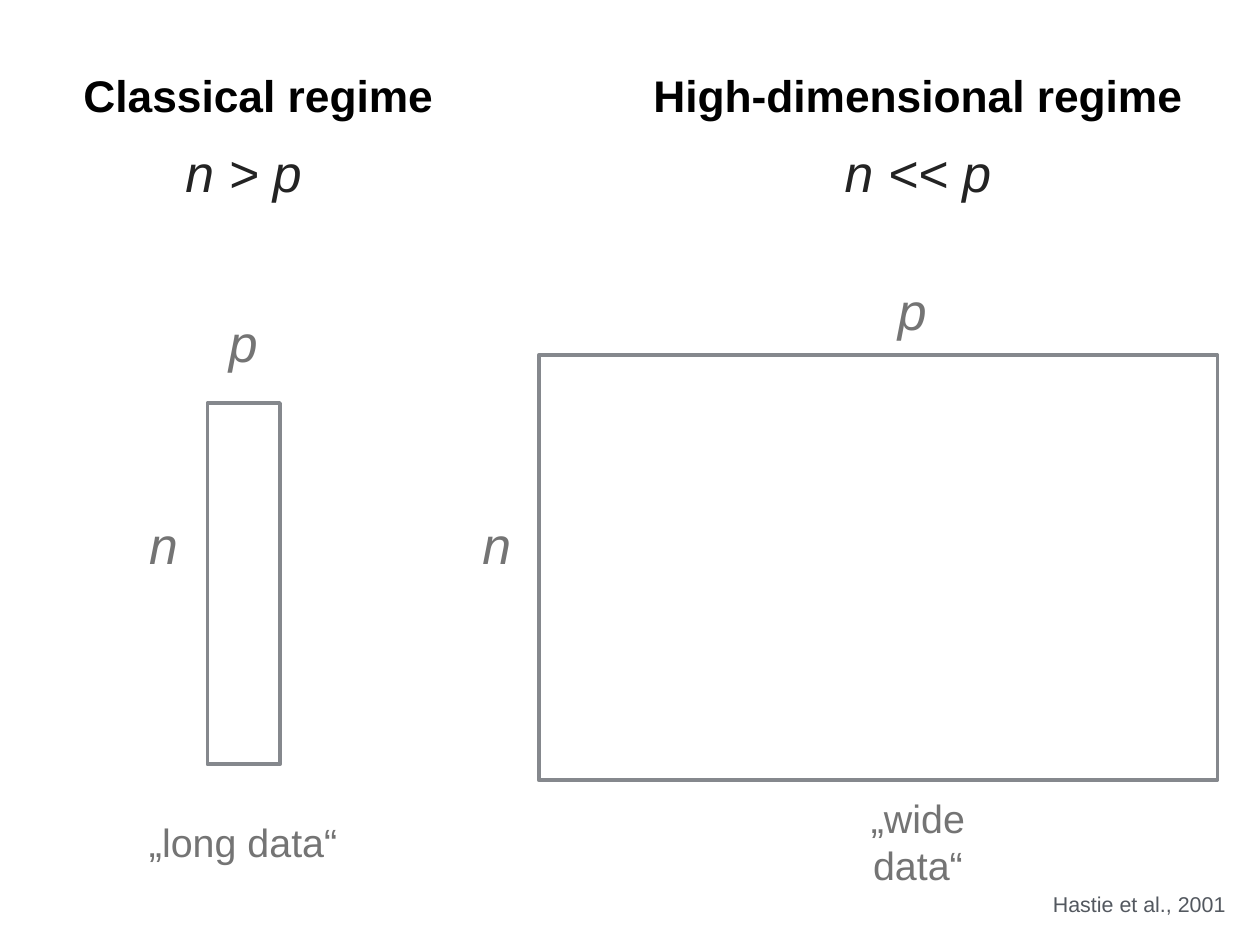
import pptx
import pptx.util
import pptx.dml.color
import pptx.enum.shapes
import pptx.enum.text

Inches = pptx.util.Inches
Pt = pptx.util.Pt
Align = pptx.enum.text.PP_ALIGN
Anchor = pptx.enum.text.MSO_ANCHOR

# Content: text with its left edge and width, matrix as left, top, width, height
regimes = [
    {
        "title": ("Classical regime", 0.88, 4.07),
        "rule": ("n > p", 2.03, 1.44),
        "matrix": (2.34, 4.55, 0.82, 4.08),
        "rows": ("n", 1.62, 0.45),
        "cols": ("p", 2.52, 0.45),
        "cols top": 3.46,
        "data": ("„long data“", 1.62, 2.25),
    },
    {
        "title": ("High-dimensional regime", 7.31, 6.1),
        "rule": ("n << p", 9.47, 1.78),
        "matrix": (6.08, 4.01, 7.66, 4.8),
        "rows": ("n", 5.38, 0.45),
        "cols": ("p", 10.07, 0.45),
        "cols top": 3.09,
        "data": ("„wide data“", 9.2, 2.32),
    },
]
source = ("Hastie et al., 2001", 2.45, 11.44)

# Styles: height, size, colour, bold, italic
styles = {
    "title": (0.71, 36, "000000", True, False),
    "rule": (0.81, 42, "232323", False, True),
    "rows": (0.81, 42, "747474", False, True),
    "cols": (0.81, 42, "747474", False, True),
    "data": (0.64, 32, "747474", False, False),
    "source": (0.39, 17.4, "53585F", False, False),
}
tops = {"title": 0.72, "rule": 1.54, "rows": 5.73, "data": 9.18}

deck = pptx.Presentation()
deck.slide_width = Inches(14.22)
deck.slide_height = Inches(10.67)
slide = deck.slides.add_slide(deck.slide_layouts[6])


def color(code):
    return pptx.dml.color.RGBColor.from_string(code)


def add_label(item, top, style, align=Align.CENTER, anchor=Anchor.MIDDLE, wrap=False):
    text, left, width = item
    height, size, code, bold, italic = styles[style]
    box = slide.shapes.add_textbox(Inches(left), Inches(top), Inches(width), Inches(height))
    frame = box.text_frame
    frame.word_wrap = wrap
    frame.vertical_anchor = anchor
    frame.margin_left = frame.margin_right = Inches(0.06)
    frame.margin_top = frame.margin_bottom = Inches(0.06)
    line = frame.paragraphs[0]
    line.alignment = align
    run = line.add_run()
    run.text = text
    run.font.name = "Arial"
    run.font.size = Pt(size)
    run.font.bold = bold
    run.font.italic = italic
    run.font.color.rgb = color(code)


def add_matrix(place):
    rect = slide.shapes.add_shape(
        pptx.enum.shapes.MSO_SHAPE.RECTANGLE, *(Inches(n) for n in place))
    rect.shadow.inherit = False
    rect.fill.background()
    rect.line.color.rgb = color("85888D")
    rect.line.width = Pt(3)


# One column per regime
for regime in regimes:
    add_matrix(regime["matrix"])
    for style, top in tops.items():
        add_label(regime[style], top, style)
    add_label(regime["cols"], regime["cols top"], "cols")

# Source line
add_label(source, 10, "source", Align.RIGHT, Anchor.TOP, True)

deck.save("out.pptx")
